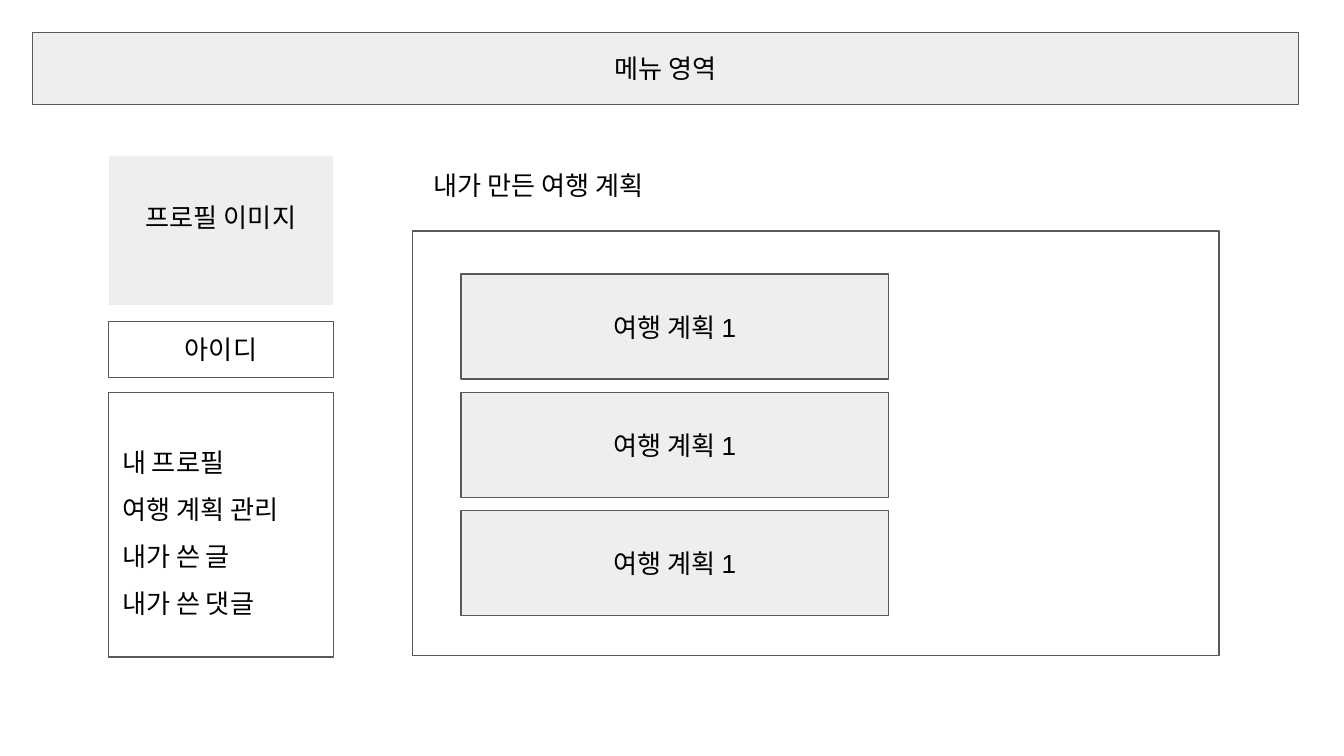
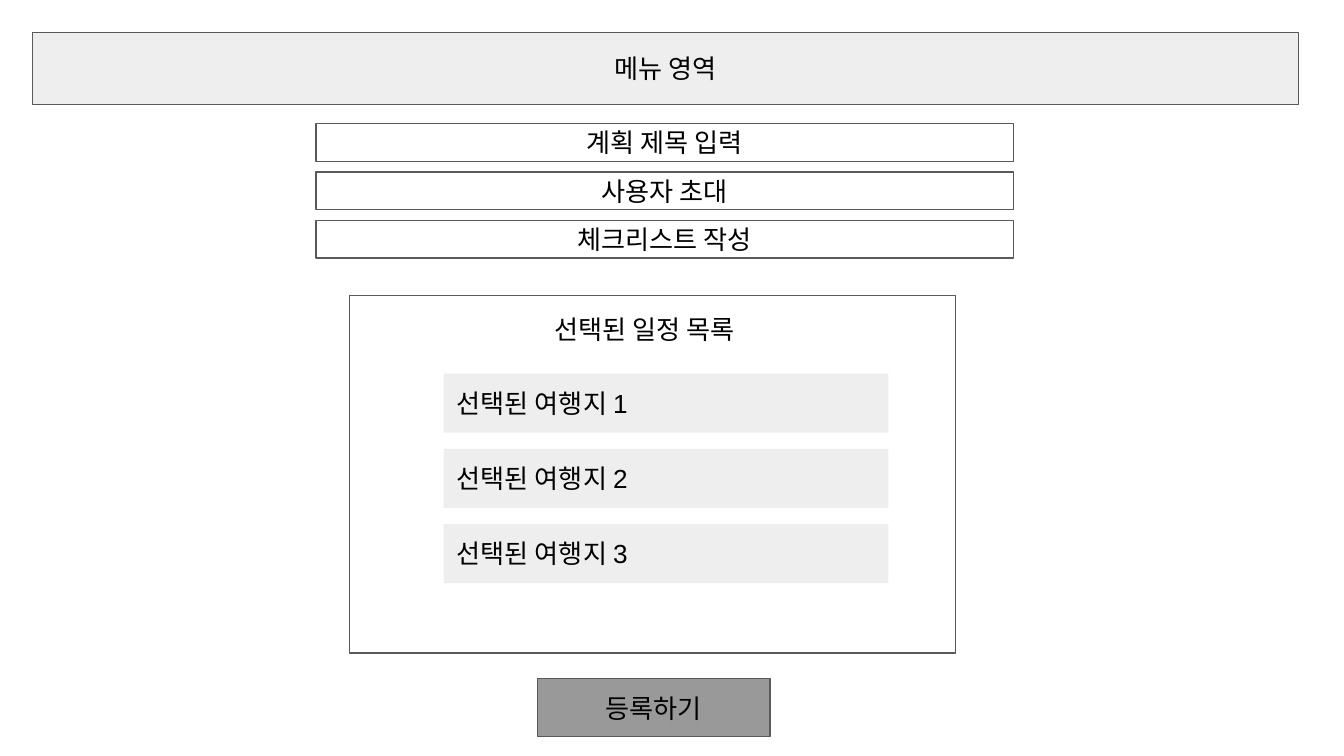
from dataclasses import dataclass
from typing import Optional

import pptx
import pptx.dml.color
import pptx.enum.shapes
import pptx.enum.text
import pptx.util
from pptx.util import Inches

Align = pptx.enum.text.PP_ALIGN
Anchor = pptx.enum.text.MSO_ANCHOR
AutoSize = pptx.enum.text.MSO_AUTO_SIZE


@dataclass(frozen=True)
class Theme:
    font: str = "Arial"
    size: float = 14
    line_width: float = 0.75
    inset: float = 0.1
    ink: str = "000000"
    outline: str = "595959"
    white: str = "FFFFFF"
    panel: str = "EEEEEE"
    button: str = "999999"


THEME = Theme()


@dataclass(frozen=True)
class Block:
    """One wireframe rectangle; lengths are in inches."""
    left: float
    top: float
    width: float
    height: float
    lines: tuple[str, ...] = ()
    fill: Optional[str] = THEME.white
    line: Optional[str] = THEME.outline
    align: Align = Align.CENTER
    anchor: Anchor = Anchor.MIDDLE
    spacing: float = 1.0
    bottom_inset: float = THEME.inset
    grow: bool = False


def rgb(value: str) -> pptx.dml.color.RGBColor:
    return pptx.dml.color.RGBColor.from_string(value)


def set_all(target: object, values: dict) -> None:
    for name, value in values.items():
        setattr(target, name, value)


def write_text(frame: pptx.text.text.TextFrame, block: Block) -> None:
    inset = Inches(THEME.inset)
    set_all(frame, {
        "word_wrap": True,
        "auto_size": AutoSize.SHAPE_TO_FIT_TEXT if block.grow else AutoSize.NONE,
        "vertical_anchor": block.anchor,
        "margin_left": inset,
        "margin_right": inset,
        "margin_top": inset,
        "margin_bottom": Inches(block.bottom_inset),
    })
    for index, line in enumerate(block.lines):
        para = frame.add_paragraph() if index else frame.paragraphs[0]
        set_all(para, {"alignment": block.align, "line_spacing": block.spacing})
        span = para.add_run()
        span.text = line
        set_all(span.font, {"name": THEME.font, "size": pptx.util.Pt(THEME.size)})
        span.font.color.rgb = rgb(THEME.ink)


def draw_block(page: pptx.slide.Slide, block: Block) -> None:
    """Draw a rectangle, or a text box when the block has no fill."""
    bounds = [Inches(v) for v in (block.left, block.top, block.width, block.height)]
    if block.fill is None:
        box = page.shapes.add_textbox(*bounds)
    else:
        box = page.shapes.add_shape(pptx.enum.shapes.MSO_SHAPE.RECTANGLE, *bounds)
        box.shadow.inherit = False
        box.fill.solid()
        box.fill.fore_color.rgb = rgb(block.fill)
        if block.line is None:
            box.line.fill.background()
        else:
            box.line.color.rgb = rgb(block.line)
            box.line.width = pptx.util.Pt(THEME.line_width)
    if block.lines:
        write_text(box.text_frame, block)


def column(left: float, top: float, width: float, height: float, step: float,
           labels: tuple[str, ...], **style) -> list[Block]:
    """Stack equal one-line blocks, one step apart."""
    return [Block(left, top + index * step, width, height, (label,), **style)
            for index, label in enumerate(labels)]


MENU = Block(0.24, 0.24, 9.42, 0.54, ("메뉴 영역",), fill=THEME.panel)


def my_page() -> list[Block]:
    left, width = 0.81, 1.67
    return [
        Block(left, 1.16, width, 1.11, ("프로필 이미지",), fill=THEME.panel,
              line=None, bottom_inset=0.3),
        Block(left, 2.39, width, 0.42, ("아이디",)),
        Block(3.13, 1.17, 2.61, 0.42, ("내가 만든 여행 계획",), line=THEME.white,
              align=Align.LEFT),
        Block(3.07, 1.72, 6, 3.16),
        Block(left, 2.92, width, 1.97,
              ("내 프로필", "여행 계획 관리", "내가 쓴 글", "내가 쓴 댓글"),
              align=Align.LEFT, spacing=1.5),
        *column(3.43, 2.04, 3.18, 0.78, 0.88, ("여행 계획 1",) * 3, fill=THEME.panel),
    ]


def plan_form() -> list[Block]:
    left_text = {"align": Align.LEFT, "anchor": Anchor.TOP, "grow": True}
    places = tuple(f"선택된 여행지 {number}" for number in range(1, 4))
    return [
        *column(2.35, 0.92, 5.19, 0.28, 0.36,
                ("계획 제목 입력", "사용자 초대", "체크리스트 작성")),
        Block(4, 5.05, 1.73, 0.43, ("등록하기",), fill=THEME.button),
        Block(2.6, 2.2, 4.51, 2.66),
        *column(3.3, 2.78, 3.31, 0.44, 0.56, places, fill=THEME.panel,
                line=None, **left_text),
        Block(4.03, 2.23, 5.97, 0.44, ("선택된 일정 목록",), fill=None, **left_text),
    ]


def main() -> None:
    deck = pptx.Presentation()
    set_all(deck, {"slide_width": Inches(10), "slide_height": Inches(5.625)})
    for blocks in (my_page(), plan_form()):
        page = deck.slides.add_slide(deck.slide_layouts[6])
        for block in (MENU, *blocks):
            draw_block(page, block)
    deck.save("out.pptx")


if __name__ == "__main__":
    main()
